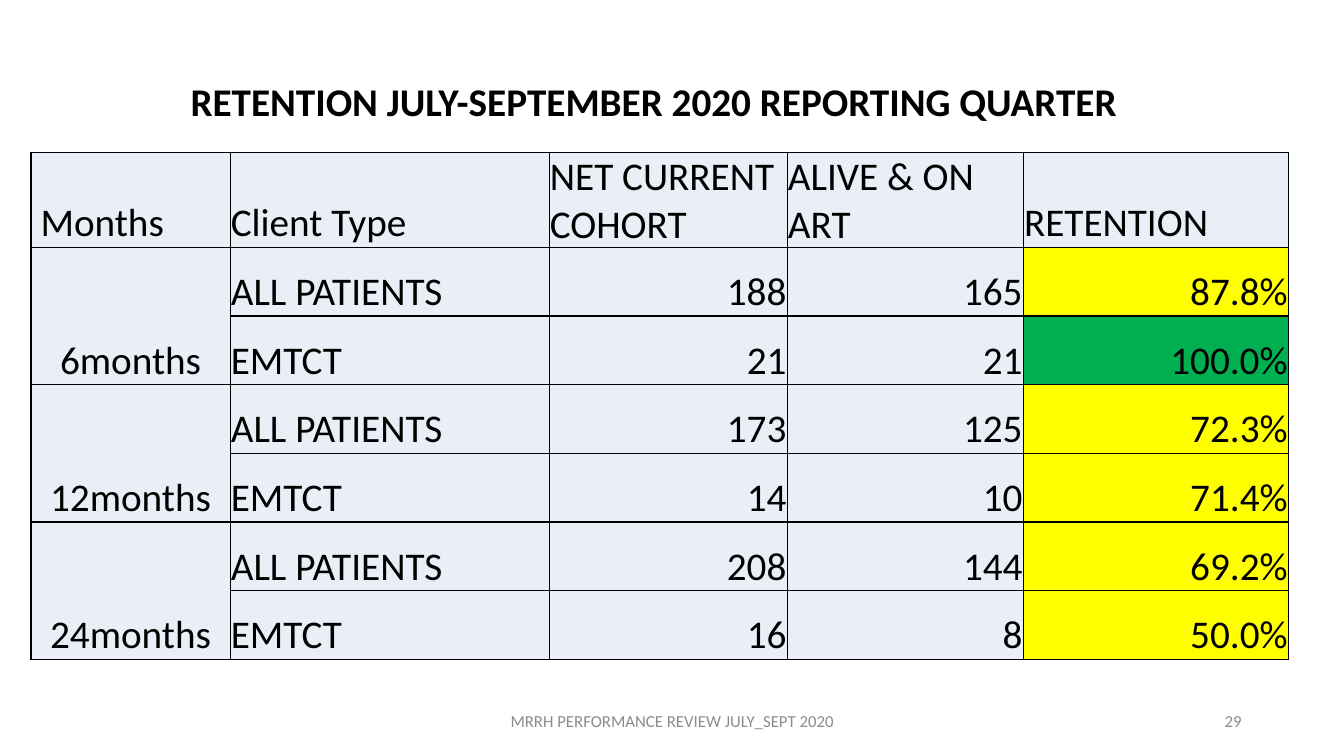
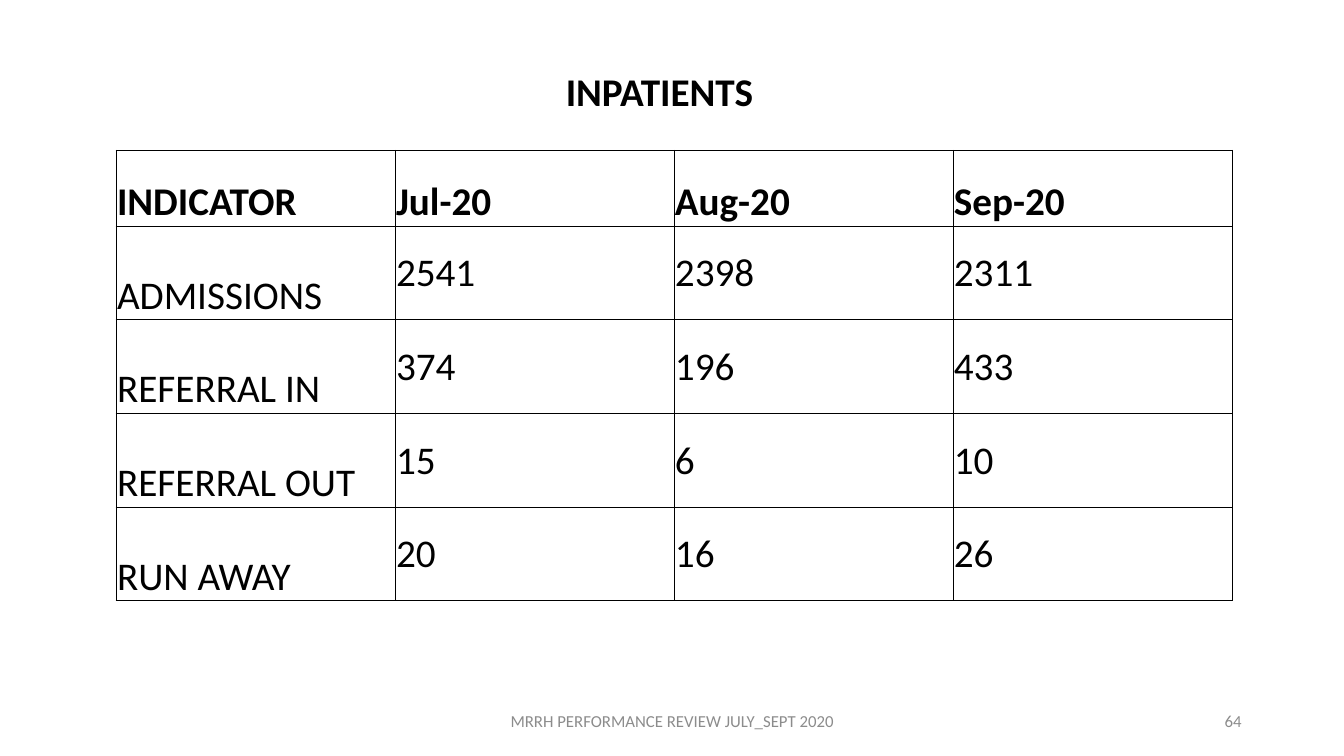
from lxml import etree
from pptx import Presentation
from pptx.dml.color import RGBColor
from pptx.enum.text import MSO_ANCHOR as Anchor, PP_ALIGN as Align
from pptx.oxml.ns import qn
from pptx.util import Cm, Pt

BLACK = RGBColor(0x00, 0x00, 0x00)
GRAY = RGBColor(0x8C, 0x8C, 0x8C)
PALE_BLUE = RGBColor(0xEA, 0xEF, 0xF7)
YELLOW = RGBColor(0xFF, 0xFF, 0x00)
GREEN = RGBColor(0x00, 0xB0, 0x50)


class Report:
    """Holds the shared style and the current page."""

    font = "Calibri"
    body_size = Pt(28)
    footer_size = Pt(12)
    footer = "MRRH PERFORMANCE REVIEW JULY_SEPT 2020"
    border = Pt(1)
    cell_inset = Cm(0.02)

    def __init__(self):
        self.deck = Presentation()
        self.deck.slide_width = Cm(33.87)
        self.deck.slide_height = Cm(19.05)
        self.page = None

    def add_page(self, number):
        self.page = self.deck.slides.add_slide(self.deck.slide_layouts[6])
        footer_style = dict(size=self.footer_size, color=GRAY, anchor=Anchor.MIDDLE)
        self.text(self.footer, 11.23, 17.66, 11.43, 1.01, align=Align.CENTER, **footer_style)
        self.text(str(number), 23.92, 17.66, 7.62, 1.01, align=Align.RIGHT, **footer_style)

    def style(self, para, size, color, bold, align):
        para.alignment = align
        para.font.name = self.font
        para.font.size = size
        para.font.bold = bold
        para.font.color.rgb = color

    def text(self, words, left, top, width, height, size, color,
             bold=False, align=Align.LEFT, anchor=Anchor.TOP):
        box = self.page.shapes.add_textbox(Cm(left), Cm(top), Cm(width), Cm(height))
        frame = box.text_frame
        frame.word_wrap = True
        frame.vertical_anchor = anchor
        frame.text = words
        self.style(frame.paragraphs[0], size, color, bold, align)

    def title(self, words, left, top, width):
        self.text(words, left, top, width, 1.45, self.body_size, BLACK,
                  bold=True, align=Align.CENTER)

    def table(self, left, top, widths, heights):
        frame = self.page.shapes.add_table(
            len(heights), len(widths), Cm(left), Cm(top), Cm(sum(widths)), Cm(sum(heights)))
        table = frame.table
        table.first_row = table.horz_banding = False
        for column, width in zip(table.columns, widths):
            column.width = Cm(width)
        for row, height in zip(table.rows, heights):
            row.height = Cm(height)
        for cell in table.iter_cells():
            self.outline(cell)
        return table

    def outline(self, cell):
        properties = cell._tc.get_or_add_tcPr()
        for side in ("a:lnL", "a:lnR", "a:lnT", "a:lnB"):
            line = etree.SubElement(properties, qn(side), w=str(self.border))
            fill = etree.SubElement(line, qn("a:solidFill"))
            etree.SubElement(fill, qn("a:srgbClr"), val=str(BLACK))

    def cell(self, cell, words, fill=None, bold=False, align=Align.LEFT, anchor=Anchor.BOTTOM):
        cell.margin_left = cell.margin_right = cell.margin_top = self.cell_inset
        cell.margin_bottom = 0
        cell.vertical_anchor = anchor
        if fill is None:
            cell.fill.background()
        else:
            cell.fill.solid()
            cell.fill.fore_color.rgb = fill
        cell.text = words
        self.style(cell.text_frame.paragraphs[0], self.body_size, BLACK, bold, align)


def retention_page(report):
    report.add_page(29)
    report.title("RETENTION JULY-SEPTEMBER 2020 REPORTING QUARTER", 3.97, 1.83, 25)

    header = [" Months", "Client Type", "NET CURRENT COHORT", "ALIVE & ON ART", "RETENTION"]
    periods = ["6months", "12months", "24months"]
    results = [
        ("ALL PATIENTS", "188", "165", "87.8%"),
        ("EMTCT", "21", "21", "100.0%"),
        ("ALL PATIENTS", "173", "125", "72.3%"),
        ("EMTCT", "14", "10", "71.4%"),
        ("ALL PATIENTS", "208", "144", "69.2%"),
        ("EMTCT", "16", "8", "50.0%"),
    ]
    table = report.table(0.78, 3.84, [5.02, 8.04, 6, 5.95, 6.68], [2.37] + [1.73] * 6)
    for col, words in enumerate(header):
        report.cell(table.cell(0, col), words, PALE_BLUE)

    # Each period spans its two client types
    for index, period in enumerate(periods):
        first = 1 + 2 * index
        table.cell(first, 0).merge(table.cell(first + 1, 0))
        report.cell(table.cell(first, 0), period, PALE_BLUE, align=Align.CENTER)

    # Client types, counts and the coloured rate
    for row, (client, cohort, alive, rate) in enumerate(results, start=1):
        report.cell(table.cell(row, 1), client, PALE_BLUE)
        rate_fill = GREEN if rate == "100.0%" else YELLOW
        numbers = [(cohort, PALE_BLUE), (alive, PALE_BLUE), (rate, rate_fill)]
        for col, (words, fill) in enumerate(numbers, start=2):
            report.cell(table.cell(row, col), words, fill, align=Align.RIGHT)


def inpatients_page(report):
    report.add_page(64)
    report.title("INPATIENTS", 12.58, 1.58, 8.08)

    rows = [
        ("INDICATOR", "Jul-20", "Aug-20", "Sep-20"),
        ("ADMISSIONS", "2541", "2398", "2311"),
        ("REFERRAL IN", "374", "196", "433"),
        ("REFERRAL OUT", "15", "6", "10"),
        ("RUN AWAY", "20", "16", "26"),
    ]
    table = report.table(2.93, 3.79, [7.03] * 4, [1.91] + [2.36] * 4)
    for row, values in enumerate(rows):
        for col, words in enumerate(values):
            is_count = row > 0 and col > 0
            report.cell(table.cell(row, col), words, bold=row == 0,
                        anchor=Anchor.MIDDLE if is_count else Anchor.BOTTOM)


def main():
    report = Report()
    retention_page(report)
    inpatients_page(report)
    report.deck.save("out.pptx")


if __name__ == "__main__":
    main()
